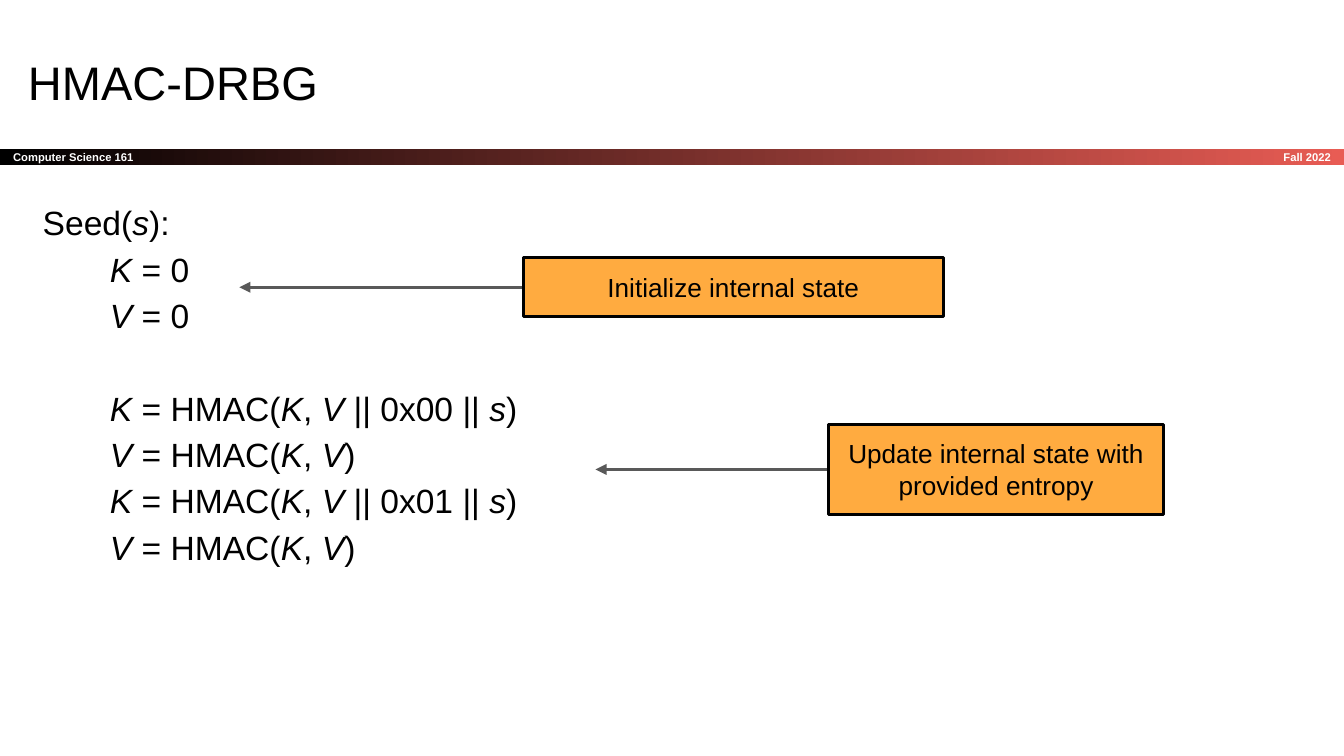
"""Build the HMAC-DRBG seeding slide."""
from lxml.etree import SubElement
from pptx import Presentation
from pptx.dml.color import RGBColor as Rgb
from pptx.enum.shapes import MSO_CONNECTOR as Connector, MSO_SHAPE as Shape
from pptx.enum.text import MSO_ANCHOR as Anchor, PP_ALIGN as Align
from pptx.oxml.ns import qn
from pptx.util import Pt

COLORS = {"black": "000000", "white": "FFFFFF", "red": "E85C54",
          "orange": "FFAB40", "gray": "595959"}
WIDTH, HEIGHT = 720, 405
BAR = (0, 79.9, WIDTH, 8.6)
TERM = (600.5, 79.9, 119.5, 8.6)
TITLE = (7.9, 21.6, 671, 45.4)
BODY = (15.8, 97.9, 404.6, 296.6)
INDENT = 36
BLANK_LINE = 24.8

SEED_CODE = [
    ["Seed(*s*):"],
    ["*K* = 0", "*V* = 0"],
    ["*K* = HMAC(*K*, *V* || 0x00 || *s*)", "*V* = HMAC(*K*, *V*)",
     "*K* = HMAC(*K*, *V* || 0x01 || *s*)", "*V* = HMAC(*K*, *V*)"],
]
CALLOUTS = [
    {"text": "Initialize internal state",
     "place": (280.4, 138, 225, 31.8), "tip": 128.2},
    {"text": "Update internal state with provided entropy",
     "place": (444, 227.3, 179.3, 48.4), "tip": 319},
]


def color(name):
    return Rgb.from_string(COLORS[name])


def points(values):
    return [Pt(value) for value in values]


def write(para, text, size=18, ink="black", bold=False, align=Align.LEFT):
    """Add text to a paragraph, with the parts between asterisks in italics."""
    para.alignment = align
    for index, part in enumerate(text.split("*")):
        if part:
            span = para.add_run()
            span.text = part
            font = span.font
            font.name, font.size, font.bold = "Arial", Pt(size), bold
            font.italic = index % 2 == 1
            font.color.rgb = color(ink)


def prepare(box, anchor=Anchor.TOP):
    frame = box.text_frame
    frame.word_wrap = True
    frame.vertical_anchor = anchor
    frame.margin_left = frame.margin_right = Pt(7.2)
    frame.margin_top = frame.margin_bottom = Pt(7.2)
    return frame.paragraphs[0]


def add_rectangle(page, place):
    box = page.shapes.add_shape(Shape.RECTANGLE, *points(place))
    box.shadow.inherit = False
    return box


def add_header(page):
    bar = add_rectangle(page, BAR)
    bar.line.fill.background()
    bar.fill.gradient()
    bar.fill.gradient_angle = 0
    for stop, name, position in zip(bar.fill.gradient_stops, ("black", "red"), (0, 1)):
        stop.color.rgb = color(name)
        stop.position = position
    term = page.shapes.add_textbox(*points(TERM))
    small = {"size": 6, "ink": "white", "bold": True}
    write(prepare(bar, Anchor.MIDDLE), "Computer Science 161", **small)
    write(prepare(term, Anchor.MIDDLE), "Fall 2022", align=Align.RIGHT, **small)


def add_code(page):
    box = page.shapes.add_textbox(*points(BODY))
    para = prepare(box)
    for level, block in enumerate(SEED_CODE):
        for row, line in enumerate(block):
            if level or row:
                para = box.text_frame.add_paragraph()
            para.line_spacing = 1.15
            if level:
                para._p.get_or_add_pPr().set("marL", str(Pt(INDENT)))
            if level == 2 and row == 0:
                para.space_before = Pt(BLANK_LINE)
            write(para, line)


def add_callout(page, text, place, tip):
    left, top, _, height = place
    middle = top + height / 2
    arrow = page.shapes.add_connector(
        Connector.STRAIGHT, *points((left, middle, tip, middle)))
    arrow.line.color.rgb = color("gray")
    arrow.line.width = Pt(1.5)
    SubElement(arrow.line._get_or_add_ln(), qn("a:tailEnd"), type="triangle")
    SubElement(arrow._element.spPr, qn("a:effectLst"))
    box = add_rectangle(page, place)
    box.fill.solid()
    box.fill.fore_color.rgb = color("orange")
    box.line.color.rgb = color("black")
    box.line.width = Pt(1.5)
    write(prepare(box), text, size=14, align=Align.CENTER)


def main():
    deck = Presentation()
    deck.slide_width, deck.slide_height = Pt(WIDTH), Pt(HEIGHT)
    page = deck.slides.add_slide(deck.slide_layouts[6])
    add_header(page)
    title = page.shapes.add_textbox(*points(TITLE))
    write(prepare(title), "HMAC-DRBG", size=25.2)
    add_code(page)
    for callout in CALLOUTS:
        add_callout(page, **callout)
    deck.save("out.pptx")


if __name__ == "__main__":
    main()
